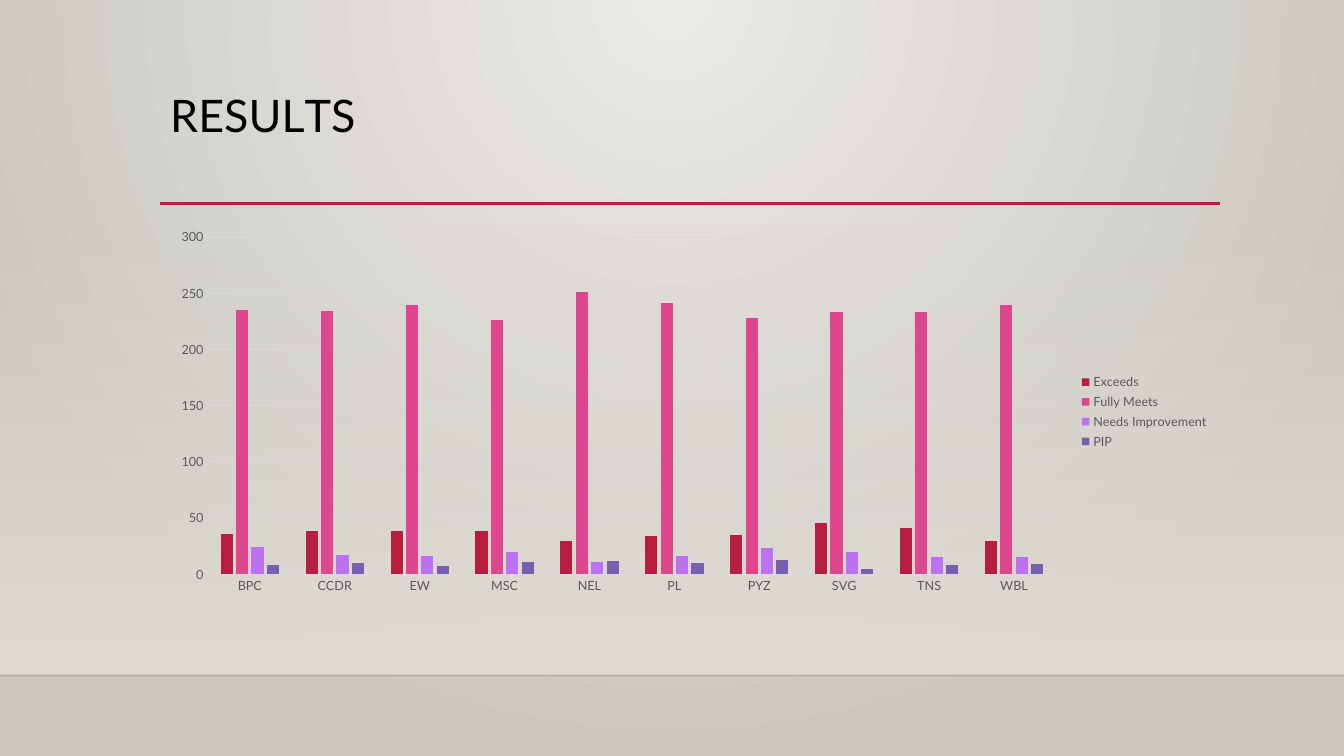
from dataclasses import dataclass
from lxml.etree import SubElement
from pptx import Presentation
from pptx.chart.data import CategoryChartData
from pptx.dml.color import RGBColor
from pptx.enum.chart import XL_CHART_TYPE, XL_LEGEND_POSITION, XL_TICK_MARK
from pptx.enum.shapes import MSO_CONNECTOR, MSO_SHAPE
from pptx.enum.text import MSO_ANCHOR
from pptx.oxml.ns import qn
from pptx.util import Inches, Pt


@dataclass(frozen=True)
class Theme:
    font: str = "Lato"
    title: int = 32
    small: int = 9
    ink: str = "000000"
    gray: str = "595959"
    rule: str = "D9D9D9"
    edge: str = "000001"
    accent: str = "B71E42"
    wall: str = "DFDBD5"
    light: str = "ECEAE7"
    dark: str = "CAC7C1"


THEME = Theme()
WIDE, HIGH = Inches(13.33), Inches(7.5)

# Percent of the slide's width and height
LEFT, SPAN = 11.93, 78.77
FLOOR = 89.33

# Letters with their tracking in points
TITLE = [("R", 0), ("E", -0.4), ("S", 0.1), ("U", -0.3), ("L", -4), ("TS", 0)]

CATS = ["BPC", "CCDR", "EW", "MSC", "NEL", "PL", "PYZ", "SVG", "TNS", "WBL"]
SERIES = [
    ("Exceeds", "B71E42", [36, 39, 39, 39, 30, 34, 35, 46, 41, 30]),
    ("Fully Meets", "DE478E",
     [235, 234, 240, 226, 251, 241, 228, 233, 233, 240]),
    ("Needs Improvement", "BC72F0", [24, 17, 16, 20, 11, 16, 23, 20, 15, 15]),
    ("PIP", "795FAF", [8, 10, 7, 11, 12, 10, 13, 5, 8, 9]),
]


def place(x, y):
    return round(WIDE * x / 100), round(HIGH * y / 100)


def rgb(code):
    return RGBColor.from_string(code)


def style(item, **values):
    for name, value in values.items():
        setattr(item, name, value)


def ink(font, size, color):
    style(font, name=THEME.font, size=Pt(size))
    font.color.rgb = rgb(color)


def add_alpha(color, share):
    SubElement(color, qn("a:alpha"), val=str(share * 1000))


def blend(fill, root, stops):
    """Fill with (position, color, opacity) stops; return the gradient."""
    fill.gradient()
    grad = root.find(".//" + qn("a:gradFill"))
    for child in list(grad):
        grad.remove(child)
    group = SubElement(grad, qn("a:gsLst"))
    for pos, code, share in stops:
        stop = SubElement(group, qn("a:gs"), pos=str(pos * 1000))
        color = SubElement(stop, qn("a:srgbClr"), val=code)
        if share < 100:
            add_alpha(color, share)
    return grad


def add_glow(slide):
    stops = [(0, THEME.light, 100), (100, THEME.dark, 100)]
    grad = blend(slide.background.fill, slide.element, stops)
    ring = SubElement(grad, qn("a:path"), {"path": "circle"})
    SubElement(ring, qn("a:fillToRect"), l="43000", t="0", r="43000", b="100000")


def add_wall(slide, top):
    wall = slide.shapes.add_shape(
        MSO_SHAPE.RECTANGLE, *place(0, top), *place(100, FLOOR - top))
    wall.shadow.inherit = False
    wall.line.fill.background()
    stops = [(0, THEME.wall, 0), (100, THEME.wall, 100)]
    grad = blend(wall.fill, wall.element.spPr, stops)
    SubElement(grad, qn("a:lin"), ang="5400000", scaled="0")


def add_rule(slide, start, end, y, color, width, share=100):
    rule = slide.shapes.add_connector(
        MSO_CONNECTOR.STRAIGHT, *place(start, y), *place(end, y))
    rule.line.width = Pt(width)
    rule.line.color.rgb = rgb(color)
    props = rule.element.spPr
    if share < 100:
        add_alpha(props.find(".//" + qn("a:srgbClr")), share)
    SubElement(props, qn("a:effectLst"))


def add_title(slide, top, high):
    box = slide.shapes.add_textbox(*place(LEFT, top), *place(SPAN, high))
    frame = box.text_frame
    style(frame, word_wrap=True, vertical_anchor=MSO_ANCHOR.TOP)
    para = frame.paragraphs[0]
    para.line_spacing = 0.9
    for text, gap in TITLE:
        run = para.add_run()
        run.text = text
        ink(run.font, THEME.title, THEME.ink)
        run.font._element.set("spc", str(round(gap * 100)))


def set_axes(chart):
    for axis in (chart.category_axis, chart.value_axis):
        style(axis, major_tick_mark=XL_TICK_MARK.NONE,
              minor_tick_mark=XL_TICK_MARK.NONE)
        ink(axis.tick_labels.font, THEME.small, THEME.gray)
    chart.value_axis.format.line.fill.background()
    grid = chart.value_axis.major_gridlines
    for part in (chart.category_axis, grid):
        part.format.line.width = Pt(0.75)
        part.format.line.color.rgb = rgb(THEME.rule)


def add_bars(slide, top, high):
    data = CategoryChartData()
    data.categories = CATS
    for name, _, values in SERIES:
        data.add_series(name, values)
    chart = slide.shapes.add_chart(
        XL_CHART_TYPE.COLUMN_CLUSTERED, *place(LEFT, top),
        *place(SPAN, high), data).chart
    style(chart, has_title=False, has_legend=True)
    ink(chart.font, 10, THEME.ink)
    style(chart.legend, position=XL_LEGEND_POSITION.RIGHT,
          include_in_layout=False)
    ink(chart.legend.font, THEME.small, THEME.gray)
    set_axes(chart)
    plot = chart.plots[0]
    style(plot, gap_width=219, overlap=-27, vary_by_categories=False)
    for bars, (_, color, _) in zip(plot.series, SERIES):
        bars.format.fill.solid()
        bars.format.fill.fore_color.rgb = rgb(color)


def main():
    deck = Presentation()
    style(deck, slide_width=WIDE, slide_height=HIGH)
    slide = deck.slides.add_slide(deck.slide_layouts[6])

    # Backdrop
    add_glow(slide)
    add_wall(slide, 29.47)
    add_rule(slide, 0, 100, FLOOR, THEME.edge, 1, share=20)

    # Heading
    add_rule(slide, LEFT, 90.77, 26.93, THEME.accent, 2.5)
    add_title(slide, 11.73, 15.33)

    # Results by group
    add_bars(slide, 29.33, 50.27)
    deck.save("out.pptx")


if __name__ == "__main__":
    main()
